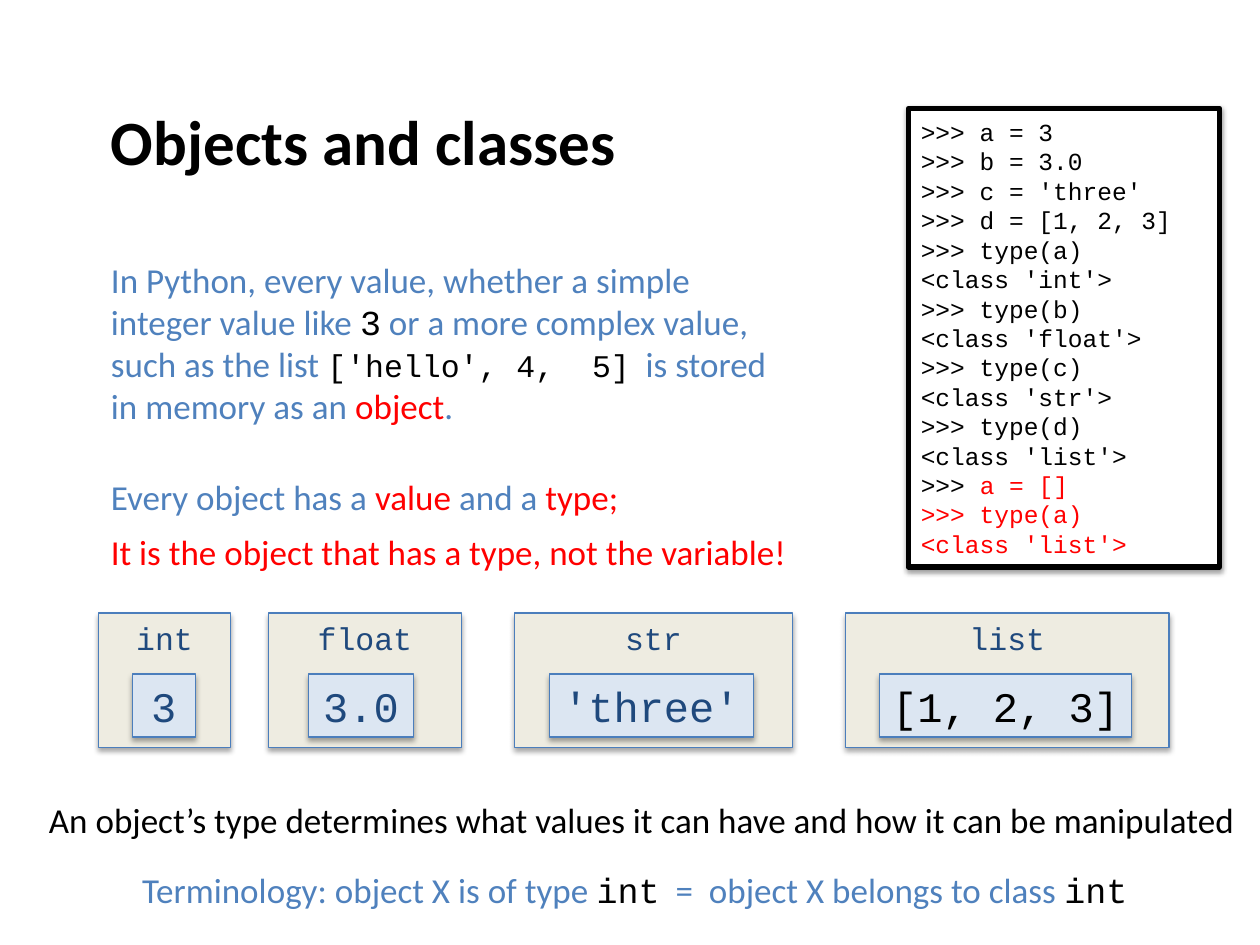
from lxml import etree
from pptx import Presentation, util as u
from pptx.dml.color import RGBColor
from pptx.enum import shapes, text
from pptx.oxml import ns

Pt = u.Pt
COLORS = {
    "black": "000000", "white": "FFFFFF", "blue": "4F81BD", "red": "FF0000",
    "navy": "1F497D", "edge": "4B7EBC", "beige": "EEECE1", "pale": "DCE6F2",
}
SANS, MONO = "Calibri", "Courier New"
LEFT, CENTER = text.PP_ALIGN.LEFT, text.PP_ALIGN.CENTER
TOP, MIDDLE = text.MSO_ANCHOR.TOP, text.MSO_ANCHOR.MIDDLE


def rgb(name):
    """Return the named palette colour."""
    return RGBColor.from_string(COLORS[name])


def place(shape, box):
    """Move and size a shape to (left, top, width, height) in points."""
    shape.left, shape.top, shape.width, shape.height = map(Pt, box)


class LessonSlide:
    """Holds the style and the slide being built."""

    def __init__(self, prs):
        """Add a title-and-content slide."""
        self.slide = prs.slides.add_slide(prs.slide_layouts[1])

    def fill_text(self, shape, lines, size=20, align=LEFT, anchor=MIDDLE, wrap=True):
        """Fill a shape with lines, each a list of (text, colour, font[, size])."""
        frame = shape.text_frame
        frame.word_wrap = wrap
        frame.auto_size = text.MSO_AUTO_SIZE.NONE
        frame.vertical_anchor = anchor
        frame.text = "\n".join("" for _ in lines)
        for paragraph, pieces in zip(frame.paragraphs, lines):
            paragraph.alignment = align
            paragraph.space_before = Pt(0)
            for words, color, face, *own_size in pieces:
                run = paragraph.add_run()
                run.text = words
                run.font.name = face
                run.font.size = Pt(own_size[0] if own_size else size)
                run.font.color.rgb = rgb(color)

    def title(self, words, box):
        """Place the bold slide title."""
        heading = self.slide.shapes.title
        place(heading, box)
        self.fill_text(heading, [[(words, "black", SANS)]], size=36)
        heading.text_frame.margin_top = Pt(47.5)
        heading.text_frame.paragraphs[0].runs[0].font.bold = True

    def body(self, pieces, box):
        """Place the body paragraph without a bullet."""
        intro = self.slide.placeholders[1]
        place(intro, box)
        self.fill_text(intro, [pieces])
        props = intro.text_frame.paragraphs[0]._p.get_or_add_pPr()
        props.set("marL", "0")
        props.set("indent", "0")
        etree.SubElement(props, ns.qn("a:buNone"))

    def note(self, pieces, box, wrap=False):
        """Add a one-line statement."""
        statement = self.slide.shapes.add_textbox(*map(Pt, box))
        self.fill_text(statement, [pieces], wrap=wrap)

    def panel(self, lines, box, fill, edge="edge", weight=0.75, opacity=35,
              distance=1.8, **style):
        """Add an outlined rectangle with a soft shadow below it."""
        rect = self.slide.shapes.add_shape(
            shapes.MSO_SHAPE.RECTANGLE, *map(Pt, box))
        rect.fill.solid()
        rect.fill.fore_color.rgb = rgb(fill)
        rect.line.color.rgb = rgb(edge)
        rect.line.width = Pt(weight)
        self.cast_shadow(rect, opacity, distance)
        self.fill_text(rect, lines, **style)

    def cast_shadow(self, shape, opacity, distance):
        """Give a shape a blurred black shadow straight down."""
        shape.shadow.inherit = False
        effects = shape._element.spPr.find(ns.qn("a:effectLst"))
        shadow = etree.SubElement(
            effects, ns.qn("a:outerShdw"), blurRad=str(Pt(3.1)),
            dist=str(Pt(distance)), dir="5400000", rotWithShape="0")
        color = etree.SubElement(
            shadow, ns.qn("a:srgbClr"), val=COLORS["black"])
        etree.SubElement(color, ns.qn("a:alpha"), val=str(opacity * 1000))

    def typed_object(self, kind, value, color, outer, inner):
        """Draw a type panel around its value; outer and inner are (left, width)."""
        self.panel([[(kind, "navy", MONO)]], (outer[0], 350.4, outer[1], 77),
                   "beige", size=18, align=CENTER, anchor=TOP)
        self.panel([[(value, color, MONO)]], (inner[0], 385.2, inner[1], 36),
                   "pale", size=24, align=CENTER, wrap=False)


def main():
    """Build the slide and save it."""
    prs = Presentation()
    prs.slide_width, prs.slide_height = Pt(720), Pt(540)
    lesson = LessonSlide(prs)
    margin = 56.2

    lesson.title("Objects and classes", (margin, 0, 612, 116))
    lesson.body([
        ("In Python, every value, whether a simple integer value like ", "blue", SANS),
        ("3", "black", MONO),
        (" or a more complex value, such as the list ", "blue", SANS),
        ("['hello', 4,\u00a0 5]", "black", MONO, 18),
        ("\u00a0 is stored in memory as an ", "blue", SANS),
        ("object", "red", SANS),
        (".", "blue", SANS),
    ], (margin, 143.3, 397.4, 104.4))

    typed_objects = [
        ("int", "3", "navy", (margin, 75.6), (75.6, 36)),
        ("float", "3.0", "navy", (153.4, 110.2), (176.4, 59.8)),
        ("str", "'three'", "navy", (293.8, 159.1), (313.9, 116.6)),
        ("list", "[1, 2, 3]", "black", (483.1, 185), (502.6, 144)),
    ]
    for entry in typed_objects:
        lesson.typed_object(*entry)

    session = [
        ">>> a = 3", ">>> b = 3.0", ">>> c = 'three'", ">>> d = [1, 2, 3]",
        ">>> type(a)", "<class 'int'>", ">>> type(b)", "<class 'float'>",
        ">>> type(c)", "<class 'str'>", ">>> type(d)", "<class 'list'>",
    ]
    console = [[(line, "black", MONO)] for line in session]
    console.append([(">>> ", "black", MONO), ("a = []", "red", MONO)])
    console += [[(line, "red", MONO)] for line in (">>> type(a)", "<class 'list'>")]
    lesson.panel(console, (519.1, 61.9, 177.8, 262.1), "white", edge="black",
                 weight=3, opacity=38, distance=1.6, size=14)

    lesson.note([
        ("Every object has a ", "blue", SANS), ("value ", "red", SANS),
        ("and a ", "blue", SANS), ("type;", "red", SANS),
    ], (margin, 267.8, 313.2, 31.7), wrap=True)
    lesson.note([("It is the object that has a type, not the variable!", "red", SANS)],
                (margin, 299.5, 403.9, 31.7))
    lesson.note([("An object’s type determines what values it can have "
                  "and how it can be manipulated", "black", SANS)],
                (20.9, 452.2, 699.1, 31.7))
    lesson.note([
        ("Terminology: object X is of type ", "blue", SANS), ("int", "black", MONO),
        ("  =  object X belongs to class ", "blue", SANS), ("int", "black", MONO),
    ], (74.2, 492.5, 590.4, 31.7))

    prs.save("out.pptx")


main()
